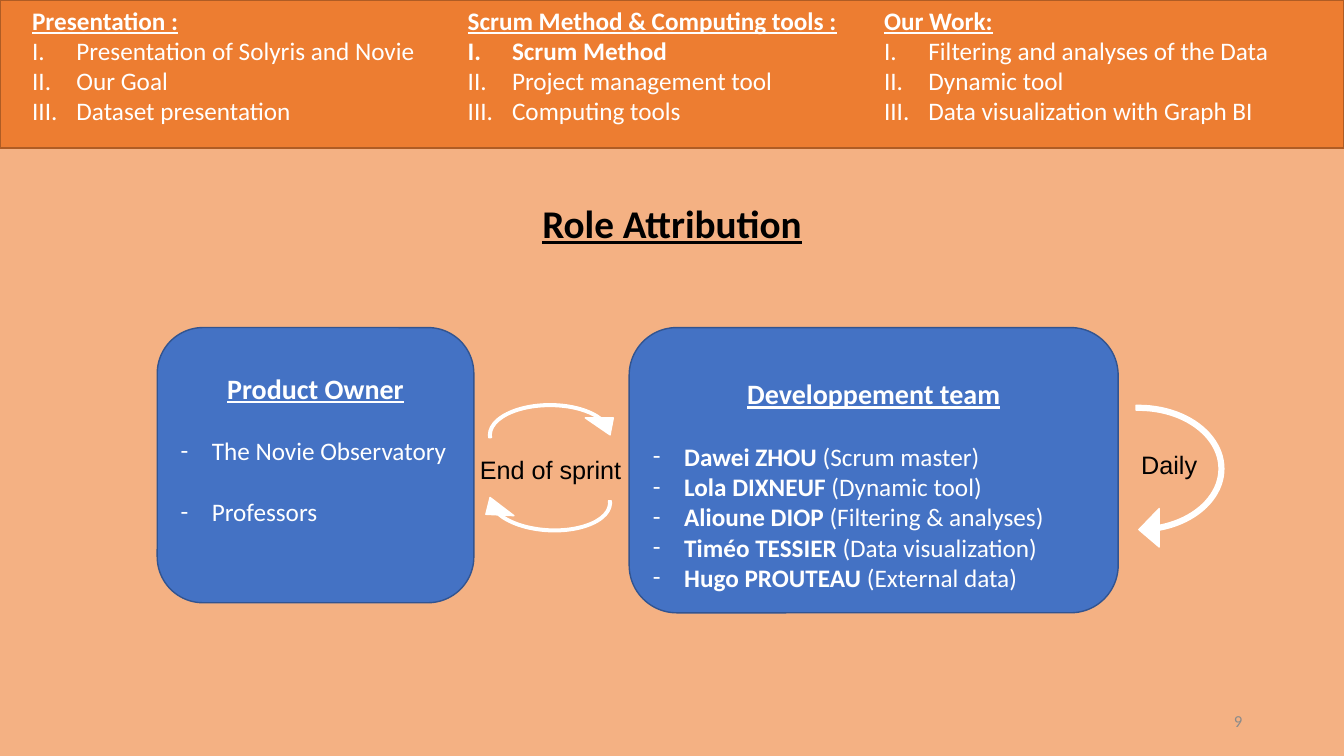
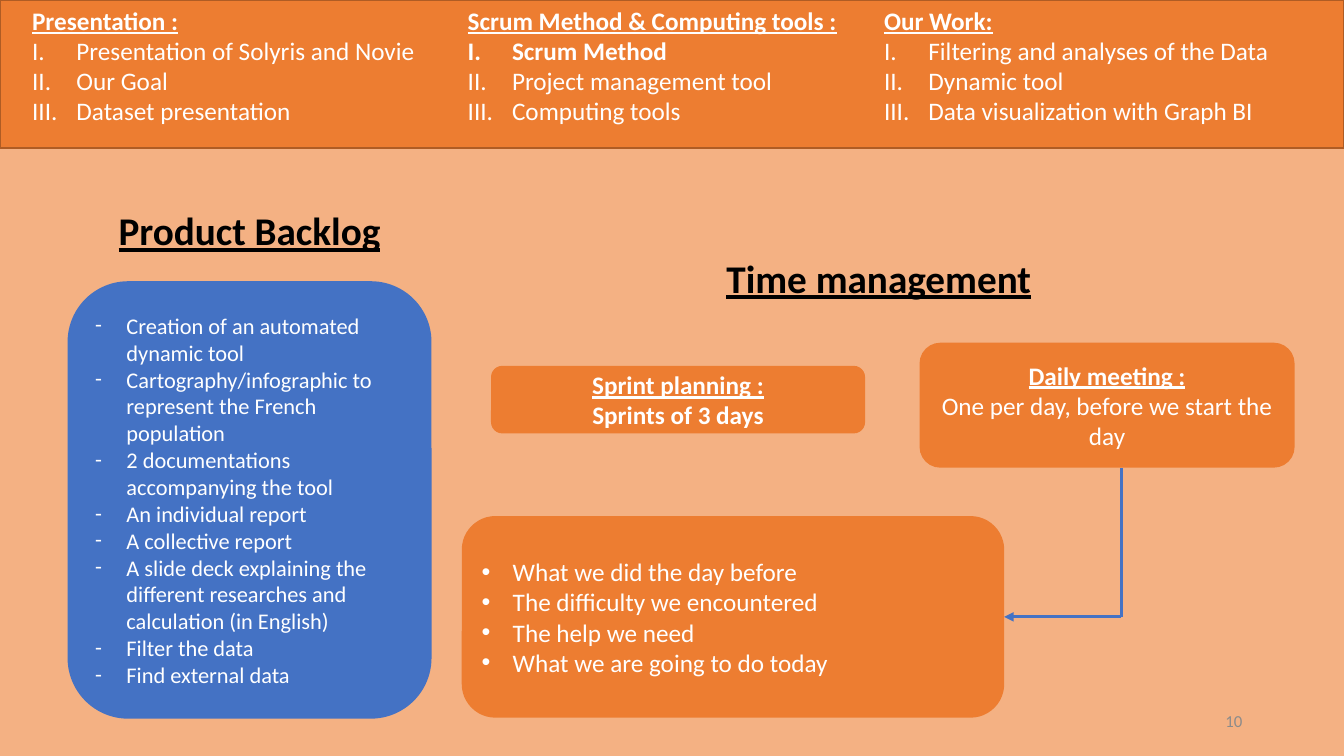
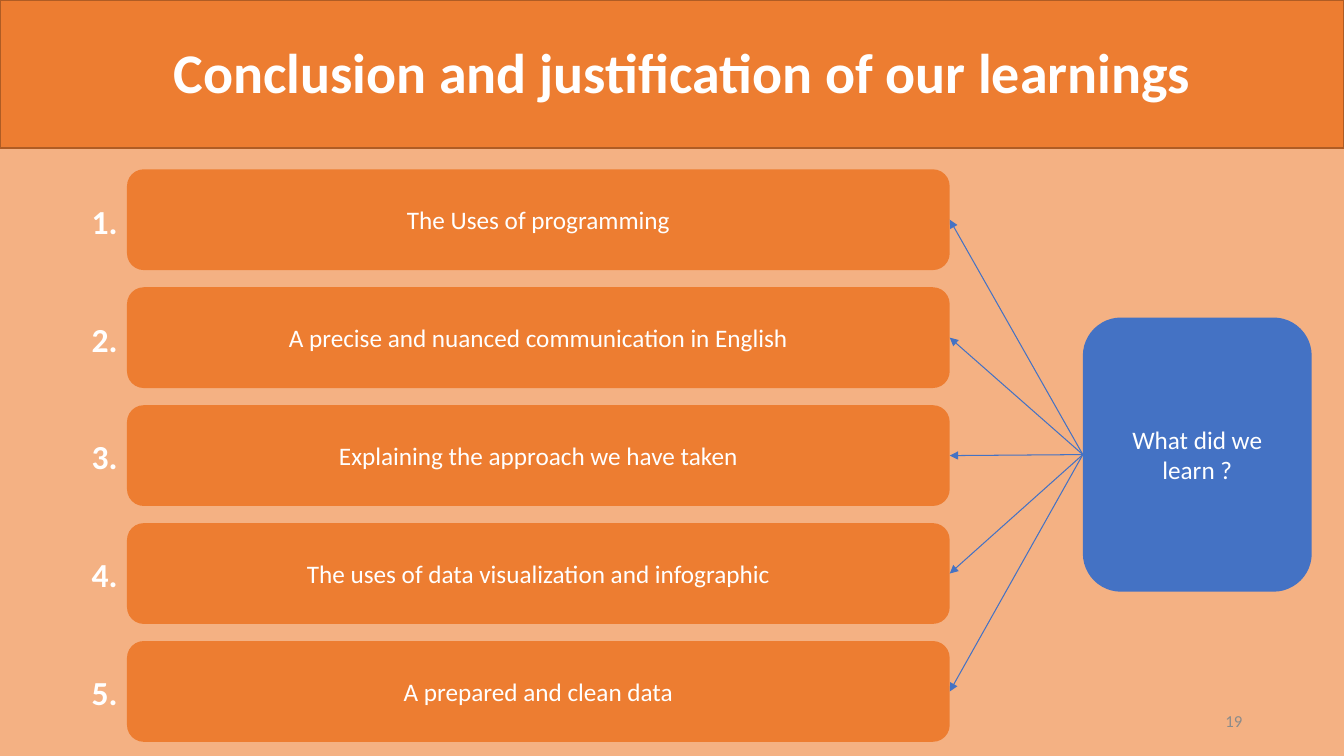
from lxml import etree
from pptx import Presentation
from pptx.dml.color import RGBColor
from pptx.enum.shapes import MSO_CONNECTOR, MSO_SHAPE
from pptx.enum.text import MSO_ANCHOR, PP_ALIGN
from pptx.oxml.ns import qn
from pptx.util import Inches, Pt

LEFT, CENTER, RIGHT = PP_ALIGN.LEFT, PP_ALIGN.CENTER, PP_ALIGN.RIGHT
TOP, MIDDLE = MSO_ANCHOR.TOP, MSO_ANCHOR.MIDDLE
RECT, ROUNDED = MSO_SHAPE.RECTANGLE, MSO_SHAPE.ROUNDED_RECTANGLE
CIRCULAR_ARROW = MSO_SHAPE.CIRCULAR_ARROW
STRAIGHT = MSO_CONNECTOR.STRAIGHT
SIDE_LEFT, SIDE_RIGHT = 1, 3

COLORS = {
    "peach": "F4B183",
    "orange": "ED7D31",
    "orange edge": "AF5C24",
    "blue": "4472C4",
    "blue edge": "325490",
    "white": "FFFFFF",
    "black": "000000",
    "gray": "8B8B8B",
}
WIDTH, HEIGHT, BAND_HEIGHT = 13.33, 7.5, 1.47
BODY_FONT, LABEL_FONT = "Calibri", "Arial"

AGENDA = [
    ((0.22, 0, 4.18, 1.4), "Presentation :",
     ["Presentation of Solyris and Novie", "Our Goal", "Dataset presentation"]),
    ((4.54, 0, 3.91, 1.4), "Scrum Method & Computing tools :",
     ["Scrum Method", "Project management tool", "Computing tools"]),
    ((8.67, 0, 4.6, 1.4), "Our Work:",
     ["Filtering and analyses of the Data", "Dynamic tool",
      "Data visualization with Graph BI"]),
]
TEAM = [
    ("Dawei ZHOU", "Scrum master"),
    ("Lola DIXNEUF", "Dynamic tool"),
    ("Alioune DIOP", "Filtering & analyses"),
    ("Timéo TESSIER", "Data visualization"),
    ("Hugo PROUTEAU", "External data"),
]
BACKLOG = [
    "Creation of an automated dynamic tool",
    "Cartography/infographic to represent the French population",
    "2 documentations accompanying the tool",
    "An individual report",
    "A collective report",
    "A slide deck explaining the different researches and calculation (in English)",
    "Filter the data",
    "Find external data",
]
DAILY_TOPICS = [
    "What we did the day before",
    "The difficulty we encountered",
    "The help we need",
    "What we are going to do today",
]
LEARNINGS = [
    "The Uses of programming",
    "A precise and nuanced communication in English",
    "Explaining the approach we have taken",
    "The uses of data visualization and infographic",
    "A prepared and clean data",
]


def rgb(name):
    return RGBColor.from_string(COLORS[name])


def inches(box):
    return [Inches(length) for length in box]


def set_marker(paragraph, marker):
    """Give a hanging bullet: "roman" numbers the lines, else the character."""
    hang = Inches(0.44 if marker == "roman" else 0.31)
    props = paragraph._p.get_or_add_pPr()
    props.set("marL", str(hang))
    props.set("indent", str(-hang))
    if marker == "roman":
        etree.SubElement(props, qn("a:buAutoNum"), type="romanUcPeriod")
    else:
        font = LABEL_FONT if marker == "•" else BODY_FONT
        etree.SubElement(props, qn("a:buFont"), typeface=font)
        etree.SubElement(props, qn("a:buChar"), char=marker)


def add_line(frame, *parts, size=18, color="white", align=LEFT, marker=None,
             after=0, font=BODY_FONT):
    """Add a paragraph of (text, style) parts; style holds b for bold, u for underline."""
    paragraph = frame.paragraphs[0] if not frame.text else frame.add_paragraph()
    paragraph.alignment = align
    paragraph.space_after = Pt(after)
    if marker:
        set_marker(paragraph, marker)
    for text, style in parts:
        run = paragraph.add_run()
        run.text = text
        run.font.name, run.font.size = font, Pt(size)
        run.font.bold, run.font.underline = "b" in style, "u" in style
        run.font.color.rgb = rgb(color)


def add_text_box(slide, box, anchor=TOP, wrap=True):
    frame = slide.shapes.add_textbox(*inches(box)).text_frame
    frame.word_wrap, frame.vertical_anchor = wrap, anchor
    return frame


def add_panel(slide, kind, box, fill, edge=None, anchor=MIDDLE):
    panel = slide.shapes.add_shape(kind, *inches(box))
    panel.shadow.inherit = False
    panel.fill.solid()
    panel.fill.fore_color.rgb = rgb(fill)
    if edge:
        panel.line.color.rgb = rgb(edge)
        panel.line.width = Pt(1)
    else:
        panel.line.fill.background()
    panel.text_frame.word_wrap = True
    panel.text_frame.vertical_anchor = anchor
    return panel


def add_link(slide, start, end, width, arrow=True):
    link = slide.shapes.add_connector(STRAIGHT, *inches(start + end))
    link.line.color.rgb = rgb("blue")
    link.line.width = Pt(width)
    if arrow:
        etree.SubElement(link.line._get_or_add_ln(), qn("a:tailEnd"), type="triangle")
    etree.SubElement(link._element.spPr, qn("a:effectLst"))
    return link


def add_cycle_arrow(slide, box, rotation, head):
    arrow = add_panel(slide, CIRCULAR_ARROW, box, "white", "white")
    arrow.rotation = rotation
    for i, value in enumerate((0.03, 11.42, 204.58, 106.45, head)):
        arrow.adjustments[i] = value


def add_base(prs, number):
    """Start a slide with the shared background, top band and page number."""
    slide = prs.slides.add_slide(prs.slide_layouts[6])
    slide.background.fill.solid()
    slide.background.fill.fore_color.rgb = rgb("peach")
    add_panel(slide, RECT, (0, 0, WIDTH, BAND_HEIGHT), "orange", "orange edge")
    page = add_text_box(slide, (9.42, 6.95, 3, 0.4), MIDDLE)
    add_line(page, (str(number), ""), size=12, color="gray", align=RIGHT)
    return slide


def add_agenda(slide, current):
    for box, heading, topics in AGENDA:
        column = add_text_box(slide, box)
        add_line(column, (heading, "bu"))
        for topic in topics:
            add_line(column, (topic, "b" if topic == current else ""), marker="roman")


def add_heading(slide, left, top, text):
    frame = add_text_box(slide, (left, top, 4.53, 0.57))
    add_line(frame, (text, "bu"), size=28, color="black", align=CENTER)


def add_role(slide, box, title, members, top_margin, gap=0):
    """Draw a role card; members are lists of text parts."""
    frame = add_panel(slide, ROUNDED, box, "blue", "blue edge", TOP).text_frame
    frame.margin_top = Inches(top_margin)
    add_line(frame, (title, "bu"), size=20, align=CENTER, after=22)
    for parts in members:
        add_line(frame, *parts, marker="-", after=gap)


def add_cycle_label(slide, box, text):
    frame = add_text_box(slide, box, wrap=False)
    add_line(frame, (text, ""), color="black", font=LABEL_FONT)


def add_list_panel(slide, box, fill, items, marker, size):
    panel = add_panel(slide, ROUNDED, box, fill)
    for item in items:
        add_line(panel.text_frame, (item, ""), size=size, marker=marker)
    return panel


def add_meeting(slide, box, title, detail, detail_style):
    frame = add_panel(slide, ROUNDED, box, "orange").text_frame
    add_line(frame, (title, "bu"), align=CENTER)
    add_line(frame, (detail, detail_style), align=CENTER)


def roles_slide(prs):
    slide = add_base(prs, 9)
    add_agenda(slide, "Scrum Method")
    add_heading(slide, 4.4, 1.93, "Role Attribution")
    add_role(slide, (6.24, 3.25, 4.85, 2.83), "Developpement team",
             [[(name + " ", "b"), (f"({role})", "")] for name, role in TEAM], 0.35)
    add_role(slide, (1.56, 3.25, 3.14, 2.73), "Product Owner",
             [[("The Novie Observatory", "")], [("Professors", "")]], 0.3, gap=22)
    add_cycle_arrow(slide, (4.72, 4.53, 1.47, 0.87), 182.9, 0.16)
    add_cycle_arrow(slide, (4.72, 3.88, 1.47, 0.87), 0, 0.16)
    add_cycle_label(slide, (4.66, 4.46, 1.62, 0.4), "End of sprint")
    add_cycle_arrow(slide, (10.5, 3.64, 1.59, 2.02), 90, 0.12)
    add_cycle_label(slide, (11.22, 4.41, 0.76, 0.4), "Daily")


def planning_slide(prs):
    slide = add_base(prs, 10)
    add_agenda(slide, "Scrum Method")
    add_heading(slide, 0.21, 2, "Product Backlog")
    add_heading(slide, 6.45, 2.47, "Time management")
    add_list_panel(slide, (0.67, 2.79, 3.61, 4.34), "blue", BACKLOG, "-", 16)
    add_meeting(slide, (4.87, 3.63, 3.71, 0.67), "Sprint planning :",
                "Sprints of 3 days", "b")
    add_meeting(slide, (9.12, 3.4, 3.72, 1.24), "Daily meeting :",
                "One per day, before we start the day", "")
    topics = add_list_panel(slide, (4.58, 5.12, 5.38, 2), "orange",
                            DAILY_TOPICS, "•", 18)
    corner = (11.12, 6.12)
    add_link(slide, corner, (11.12, 4.64), 2.25, arrow=False)
    add_link(slide, corner, (9.96, 6.12), 2.25).end_connect(topics, SIDE_RIGHT)


def conclusion_slide(prs):
    slide = add_base(prs, 19)
    title = add_text_box(slide, (0.99, 0.32, 11.55, 0.77))
    add_line(title, ("Conclusion and justification of our learnings", "b"),
             size=40, align=CENTER)
    question = add_panel(slide, ROUNDED, (10.74, 3.15, 2.27, 2.72), "blue")
    add_line(question.text_frame, ("What did we learn ?", ""), align=CENTER)
    for i, learning in enumerate(LEARNINGS):
        top = 1.68 + 1.17 * i
        bar = add_panel(slide, ROUNDED, (1.26, top, 8.16, 1), "orange")
        add_line(bar.text_frame, (learning, ""), align=CENTER)
        rank = add_text_box(slide, (0.81, top + 0.26, 0.7, 0.5))
        add_line(rank, (f"{i + 1}.", "b"), size=24)
        link = add_link(slide, (10.74, 4.51), (9.42, top + 0.5), 0.75)
        link.begin_connect(question, SIDE_LEFT)
        link.end_connect(bar, SIDE_RIGHT)


def main():
    prs = Presentation()
    prs.slide_width, prs.slide_height = Inches(WIDTH), Inches(HEIGHT)
    roles_slide(prs)
    planning_slide(prs)
    conclusion_slide(prs)
    prs.save("out.pptx")


if __name__ == "__main__":
    main()
